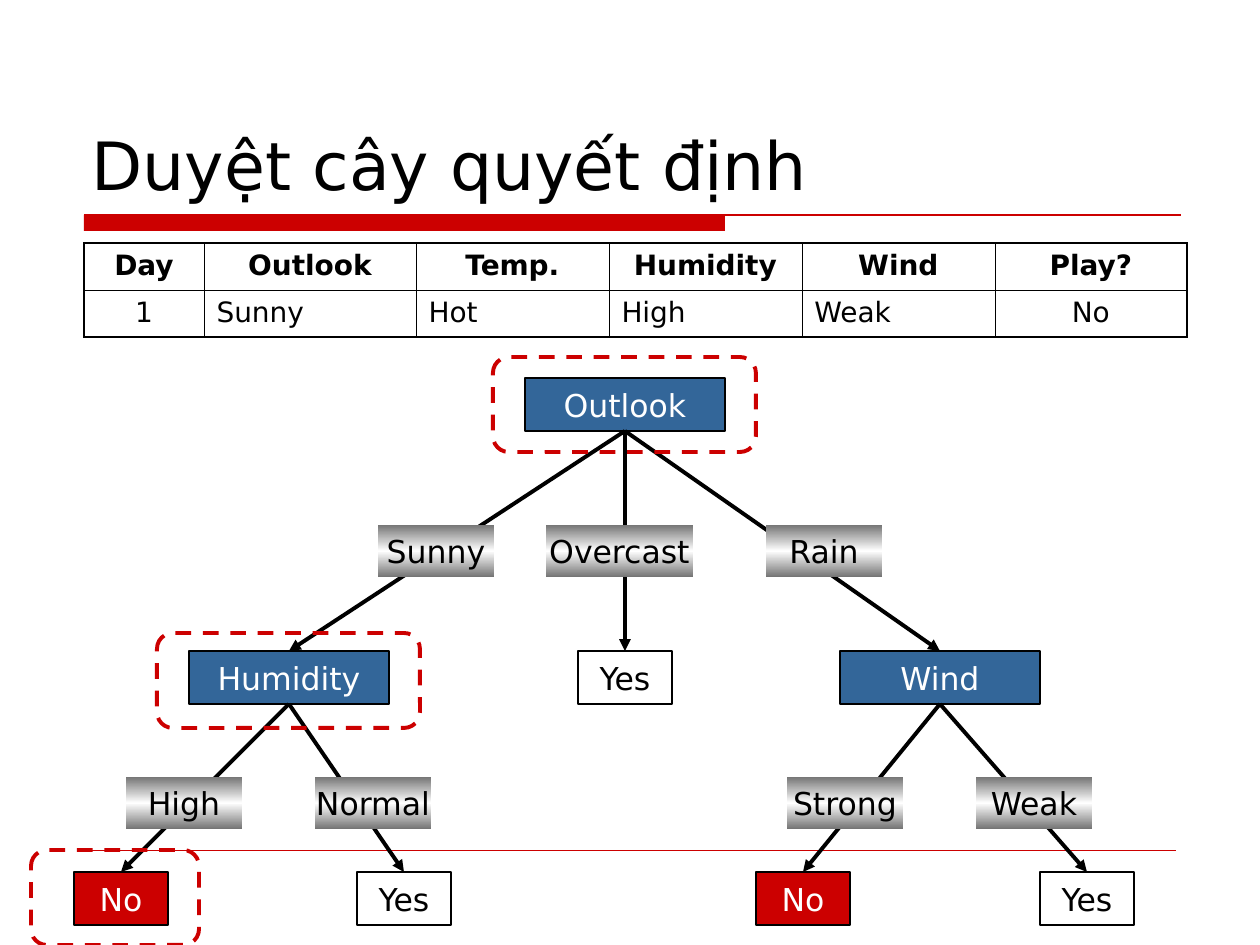
from copy import deepcopy

from lxml.etree import SubElement
from pptx import Presentation
from pptx.dml.color import RGBColor
from pptx.enum.dml import MSO_LINE
from pptx.enum.shapes import MSO_CONNECTOR, MSO_SHAPE
from pptx.enum.text import MSO_ANCHOR, MSO_AUTO_SIZE, PP_ALIGN
from pptx.oxml.ns import qn
from pptx.util import Pt

PX = 7257  # EMU in one px, 126 px to the inch
FONT = "DejaVu Sans"
BLACK, WHITE, RED, BLUE, GREY = "000000", "FFFFFF", "CC0000", "336699", "757575"
THIN, THICK = 0.45, 1.08
rgb = RGBColor.from_string

deck = Presentation()
deck.slide_width, deck.slide_height = 1260 * PX, 945 * PX
page = deck.slides.add_slide(deck.slide_layouts[5])
shapes = page.shapes


def write(frame, text, size, color=BLACK, align=PP_ALIGN.CENTER, bold=False):
    para = frame.paragraphs[0]
    para.alignment = align
    span = para.add_run()
    span.text = text
    span.font.name, span.font.size, span.font.bold = FONT, Pt(size), bold
    span.font.color.rgb = rgb(color)
    return para


def add_line(start, end, color, width):
    """Add a straight line without a shadow between two px points."""
    line = shapes.add_connector(MSO_CONNECTOR.STRAIGHT, *[n * PX for n in start + end])
    line.line.color.rgb = rgb(color)
    line.line.width = Pt(width)
    SubElement(line._element.spPr, qn("a:effectLst"))
    return line


# Title and rules
title = shapes.title
title.left, title.top, title.width, title.height = 79 * PX, 42 * PX, 1103 * PX, 168 * PX
title.text_frame.word_wrap = True
title.text_frame.auto_size = MSO_AUTO_SIZE.NONE
title.text_frame.vertical_anchor = MSO_ANCHOR.BOTTOM
write(title.text_frame, "Duyệt cây quyết định", 38, align=PP_ALIGN.LEFT)

bar = shapes.add_shape(MSO_SHAPE.RECTANGLE, 84 * PX, 215 * PX, 641 * PX, 16 * PX)
bar.shadow.inherit = False
bar.fill.solid()
bar.fill.fore_color.rgb = rgb(RED)
bar.line.fill.background()
add_line((84, 215), (1181, 215), RED, 0.75)
add_line((84, 850), (1176, 850), RED, 0.25)

# Tree nodes: text, centre, top, width, fill, text colour
nodes = {}
for name, text, centre, top, width, fill, color in [
    ("wind", "Wind", 940, 651, 200, BLUE, WHITE),
    ("humidity", "Humidity", 289, 651, 200, BLUE, WHITE),
    ("outlook", "Outlook", 625, 378, 200, BLUE, WHITE),
    ("normal", "Yes", 404, 872, 94, WHITE, BLACK),
    ("high", "No", 121, 872, 94, RED, WHITE),
    ("overcast", "Yes", 625, 651, 94, WHITE, BLACK),
    ("weak", "Yes", 1087, 872, 94, WHITE, BLACK),
    ("strong", "No", 803, 872, 94, RED, WHITE),
]:
    box = shapes.add_shape(MSO_SHAPE.RECTANGLE, (centre - width // 2) * PX, top * PX,
                           width * PX, 53 * PX)
    box.shadow.inherit = False
    box.fill.solid()
    box.fill.fore_color.rgb = rgb(fill)
    box.line.color.rgb = rgb(BLACK)
    box.line.width = Pt(0.75)
    box.text_frame.word_wrap = False
    box.text_frame.vertical_anchor = MSO_ANCHOR.MIDDLE
    write(box.text_frame, text, 18, color)
    nodes[name] = box

# Branches
for parent, children in {
    "outlook": ["humidity", "wind", "overcast"],
    "humidity": ["high", "normal"],
    "wind": ["strong", "weak"],
}.items():
    for child in children:
        branch = add_line((0, 0), (0, 0), BLACK, 2.25)
        branch.begin_connect(nodes[parent], 2)
        branch.end_connect(nodes[child], 0)
        SubElement(branch.line._get_or_add_ln(), qn("a:tailEnd"), type="triangle")

# Branch labels
for text, left, top, width in [
    ("Sunny", 378, 525, 116),
    ("Overcast", 546, 525, 147),
    ("Rain", 766, 525, 116),
    ("High", 126, 777, 116),
    ("Normal", 315, 777, 116),
    ("Strong", 787, 777, 116),
    ("Weak", 976, 777, 116),
]:
    label = shapes.add_shape(MSO_SHAPE.RECTANGLE, left * PX, top * PX, width * PX, 52 * PX)
    label.shadow.inherit = False
    label.line.fill.background()
    label.fill.gradient()
    label.fill.gradient_angle = 270
    stop_list = label._element.spPr.find(".//" + qn("a:gsLst"))
    stop_list.insert(1, deepcopy(stop_list[0]))
    for stop, position, color in zip(label.fill.gradient_stops, (0, 0.5, 1), (GREY, WHITE, GREY)):
        stop.position = position
        stop.color.rgb = rgb(color)
    label.text_frame.word_wrap = False
    label.text_frame.vertical_anchor = MSO_ANCHOR.MIDDLE
    write(label.text_frame, text, 18)

# Table of the example day
rows = [
    ["Day", "Outlook", "Temp.", "Humidity", "Wind", "Play?"],
    ["1", "Sunny", "Hot", "High", "Weak", "No"],
]
widths = [120, 212, 193, 193, 193, 192]
last_row, last_column = len(rows) - 1, len(widths) - 1
table = shapes.add_table(len(rows), len(widths), 84 * PX, 243 * PX,
                         sum(widths) * PX, 94 * PX).table
table.first_row = table.horz_banding = False
for column, width in zip(table.columns, widths):
    column.width = width * PX
for r, row in enumerate(rows):
    table.rows[r].height = 47 * PX
    for c, text in enumerate(row):
        cell = table.cell(r, c)
        centred = r == 0 or c in (0, last_column)
        para = write(cell.text_frame, text, 16, bold=r == 0,
                     align=PP_ALIGN.CENTER if centred else PP_ALIGN.LEFT)
        para.space_before = Pt(4)
        properties = cell._tc.get_or_add_tcPr()
        for side, outer in [("L", c == 0), ("R", c == last_column),
                            ("T", r == 0), ("B", r == last_row)]:
            border = SubElement(properties, qn("a:ln" + side),
                                w=str(Pt(THICK if outer else THIN)))
            SubElement(SubElement(border, qn("a:solidFill")), qn("a:srgbClr"), val=BLACK)
        cell.fill.background()

# Dashed frames around the path taken
for left, top, width in [(493, 357, 263), (157, 633, 263), (31, 850, 168)]:
    frame = shapes.add_shape(MSO_SHAPE.ROUNDED_RECTANGLE, left * PX, top * PX,
                             width * PX, 95 * PX)
    frame.shadow.inherit = False
    frame.fill.background()
    frame.line.color.rgb = rgb(RED)
    frame.line.width = Pt(2.25)
    frame.line.dash_style = MSO_LINE.DASH

deck.save("out.pptx")
